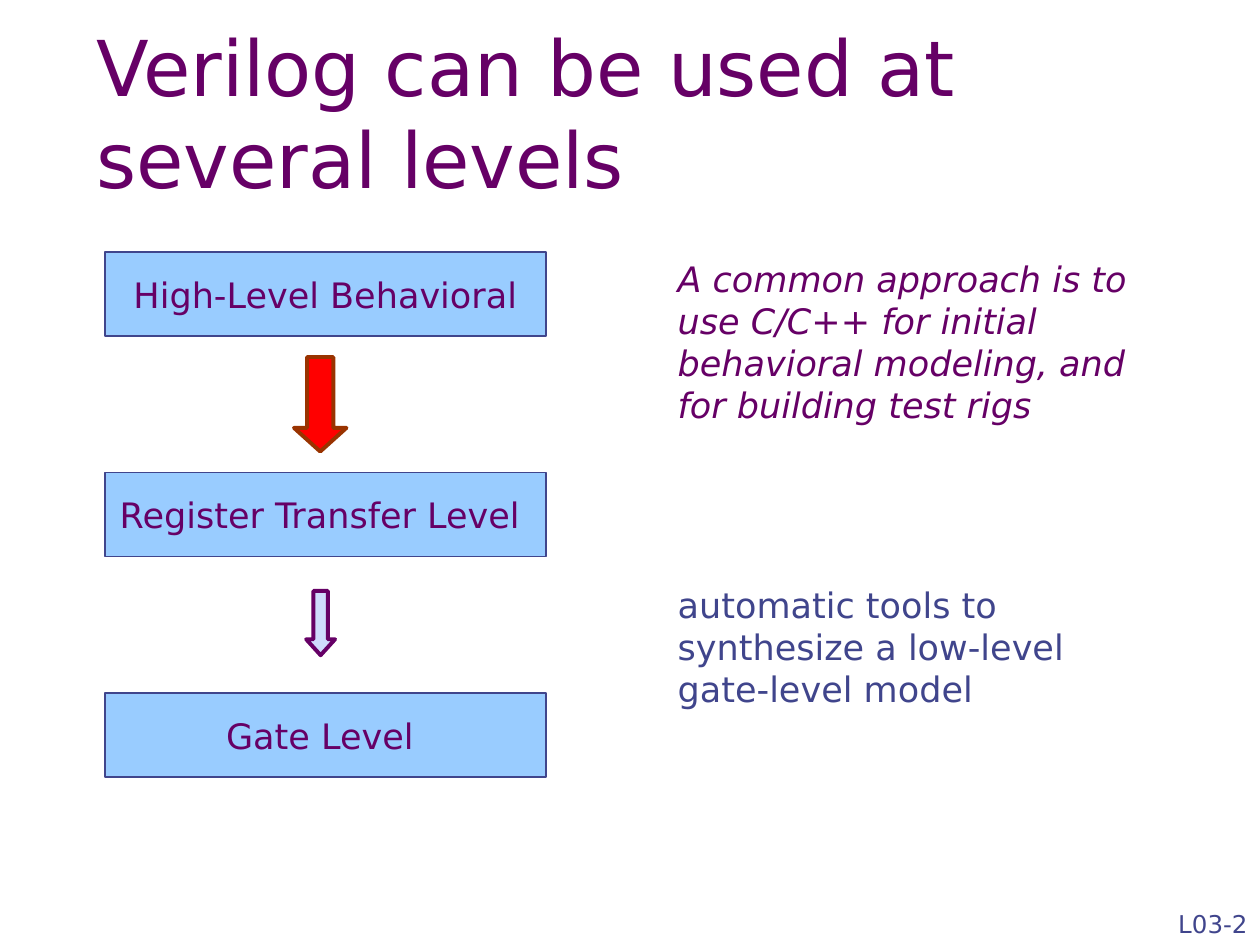
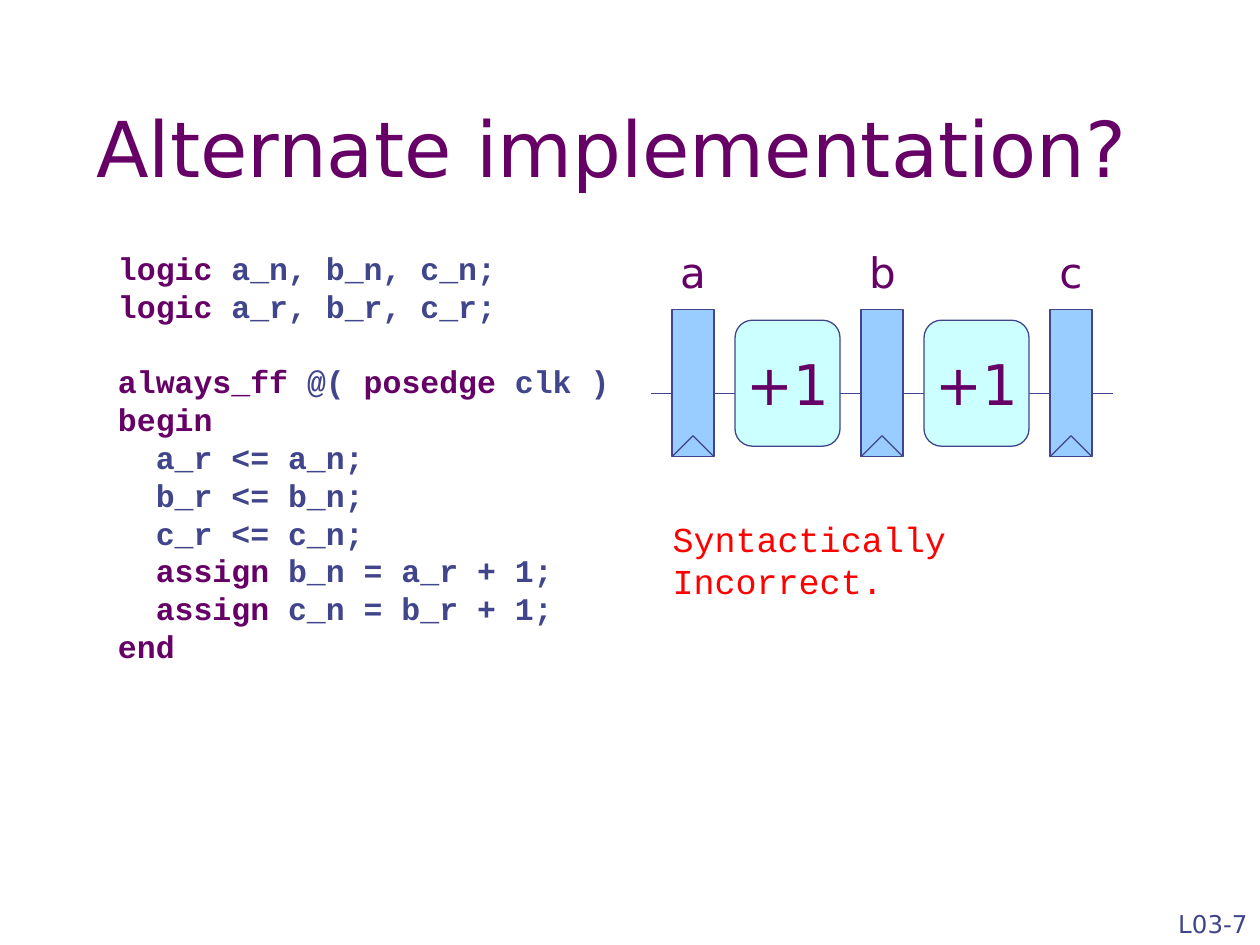
import dataclasses
import itertools

import pptx
import pptx.dml.color
import pptx.enum.shapes
import pptx.enum.text
import pptx.util
from lxml import etree

Inches = pptx.util.Inches
Shape = pptx.enum.shapes.MSO_SHAPE
Align = pptx.enum.text.PP_ALIGN
Anchor = pptx.enum.text.MSO_ANCHOR


@dataclasses.dataclass(frozen=True)
class Theme:
    """Colours, fonts and type sizes shared by the slides."""
    plum: str = "660066"
    navy: str = "40458C"
    sky: str = "99CCFF"
    aqua: str = "CCFFFF"
    pale: str = "CFDBFD"
    red: str = "FF0000"
    rust: str = "993300"
    sans: str = "DejaVu Sans"
    mono: str = "Courier New"
    title: int = 44
    sum: int = 32
    label: int = 24
    body: int = 20
    code: int = 18
    foot: int = 14
    thin: float = 0.75
    thick: float = 2.25


THEME = Theme()
UNIT = 1 / 6
KEYS = {"logic", "always_ff", "posedge", "begin", "assign", "end"}
CODE = """logic a_n, b_n, c_n;
logic a_r, b_r, c_r;

always_ff @( posedge clk )
begin
  a_r <= a_n;
  b_r <= b_n;
  c_r <= c_n;
  assign b_n = a_r + 1;
  assign c_n = b_r + 1;
end"""


def rgb(code):
    """Turn a hex code into a colour."""
    return pptx.dml.color.RGBColor.from_string(code)


def style(run, size, color, face=THEME.sans, bold=False, slant=False):
    """Format one run."""
    font = run.font
    font.name, font.size = face, pptx.util.Pt(size)
    font.bold, font.italic = bold, slant
    font.color.rgb = rgb(color)


def write(frame, text, size, color, face=THEME.sans, slant=False,
          align=Align.LEFT, anchor=Anchor.TOP, wrap=True):
    """Fill a text frame with one styled paragraph."""
    frame.text = text
    frame.word_wrap, frame.vertical_anchor = wrap, anchor
    para = frame.paragraphs[0]
    para.alignment = align
    style(para.runs[0], size, color, face, slant=slant)


def note(slide, area, text, size, color, **look):
    """Add a text box."""
    box = slide.shapes.add_textbox(*map(Inches, area))
    write(box.text_frame, text, size, color, **look)


def block(slide, kind, area, fill, edge=THEME.navy, width=THEME.thin):
    """Add a filled and outlined preset shape."""
    shape = slide.shapes.add_shape(kind, *map(Inches, area))
    shape.shadow.inherit = False
    shape.fill.solid()
    shape.fill.fore_color.rgb = rgb(fill)
    shape.line.color.rgb = rgb(edge)
    shape.line.width = pptx.util.Pt(width)
    return shape


def level(slide, top, text):
    """Add one box of the design flow."""
    shape = block(slide, Shape.RECTANGLE, (5 * UNIT, top, 3.5, 4 * UNIT),
                  THEME.sky)
    write(shape.text_frame, text, THEME.body, THEME.plum,
          align=Align.CENTER, anchor=Anchor.MIDDLE, wrap=False)


def arrow(slide, area, head, fill, edge):
    """Add a down arrow with the given head length."""
    shape = block(slide, Shape.DOWN_ARROW, area, fill, edge, THEME.thick)
    shape.adjustments[0], shape.adjustments[1] = 0.5, head


def wire(slide, *ends):
    """Add a thin straight line."""
    line = slide.shapes.add_connector(
        pptx.enum.shapes.MSO_CONNECTOR.STRAIGHT, *map(Inches, ends))
    line.line.color.rgb = rgb(THEME.navy)
    line.line.width = pptx.util.Pt(THEME.thin)
    props = line._element.spPr
    etree.SubElement(props, pptx.oxml.ns.qn("a:effectLst"))


def latch(slide, left, name):
    """Add a named register with its clock mark and wires."""
    mid, right = left + UNIT, left + 2 * UNIT
    top, base, axis = 14.75 * UNIT, 21.75 * UNIT, 18.75 * UNIT
    block(slide, Shape.RECTANGLE, (left, top, 2 * UNIT, base - top),
          THEME.sky)
    wire(slide, left, base, mid, base - UNIT)
    wire(slide, mid, base - UNIT, right, base)
    wire(slide, left - UNIT, axis, left, axis)
    wire(slide, right, axis, right + UNIT, axis)
    note(slide, (mid - 0.2, 1.91, 0.4, 0.5), name, THEME.label, THEME.plum,
         align=Align.CENTER, wrap=False)


def adder(slide, left):
    """Add a rounded increment block."""
    shape = block(slide, Shape.ROUNDED_RECTANGLE,
                  (left, 15.25 * UNIT, 5 * UNIT, 1), THEME.aqua)
    write(shape.text_frame, "+1", THEME.sum, THEME.plum,
          align=Align.CENTER, anchor=Anchor.MIDDLE, wrap=False)


def listing(slide, area, code):
    """Add code with coloured keywords, turning empty lines into space."""
    frame = slide.shapes.add_textbox(*map(Inches, area)).text_frame
    frame.word_wrap = True
    frame.margin_left = frame.margin_right = Inches(UNIT)
    frame.margin_top = frame.margin_bottom = Inches(UNIT)
    para, gap = frame.paragraphs[0], False
    for row, line in enumerate(code.split("\n")):
        if not line:
            gap = True
            continue
        if row:
            para = frame.add_paragraph()
        if gap:
            para.space_before = pptx.util.Pt(THEME.code * 1.2)
            gap = False
        words = [word + " " for word in line.split(" ")]
        words[-1] = words[-1].rstrip()
        for key, group in itertools.groupby(
                words, lambda word: word.strip() in KEYS):
            run = para.add_run()
            run.text = "".join(group)
            style(run, THEME.code, THEME.plum if key else THEME.navy,
                  THEME.mono, bold=True)


def page(deck, title, top, foot):
    """Add a blank slide with its title and footer."""
    slide = deck.slides.add_slide(deck.slide_layouts[6])
    note(slide, (4 * UNIT, top, 8.5, 1.25), title, THEME.title, THEME.plum,
         anchor=Anchor.BOTTOM)
    note(slide, (7.92, 7, 2.08, 0.5), foot, THEME.foot, THEME.navy,
         align=Align.RIGHT, anchor=Anchor.BOTTOM)
    return slide


def levels(deck):
    """Build the slide on levels of design."""
    slide = page(deck, "Verilog can be used at several levels", 0.42, "L03-2")
    names = ("High-Level Behavioral", "Register Transfer Level ",
             "Gate Level ")
    for row, name in enumerate(names):
        level(slide, 2 + 1.75 * row, name)
    arrow(slide, (14 * UNIT, 17 * UNIT, 2.5 * UNIT, 0.75), 0.45,
          THEME.red, THEME.rust)
    arrow(slide, (2.43, 4.69, 0.23, 0.51), 0.55, THEME.pale, THEME.plum)
    note(slide, (5.28, 1.99, 4.07, 1.44),
         "A common approach is to use C/C++ for initial behavioral modeling, "
         "and for building test rigs",
         THEME.body, THEME.plum, slant=True, anchor=Anchor.MIDDLE)
    note(slide, (5.28, 4.58, 3.98, 1.1),
         "automatic tools to synthesize a low-level gate-level model",
         THEME.body, THEME.navy)


def rival(deck):
    """Build the slide on the alternate code."""
    slide = page(deck, "Alternate implementation?", 0.33, "L03-7")
    listing(slide, (0.77, 1.81, 4.7, 3.93), CODE)
    start, pitch = 32 * UNIT, 1.5
    for col, name in enumerate("abc"):
        latch(slide, start + pitch * col, name)
    for col in range(2):
        adder(slide, start + 0.5 + pitch * col)
    note(slide, (5.24, 4.06, 3.96, 0.77), "Syntactically Incorrect.",
         THEME.body, THEME.red, face=THEME.mono)


def main():
    """Build and save the deck."""
    deck = pptx.Presentation()
    deck.slide_width, deck.slide_height = Inches(10), Inches(7.5)
    levels(deck)
    rival(deck)
    deck.save("out.pptx")


if __name__ == "__main__":
    main()
